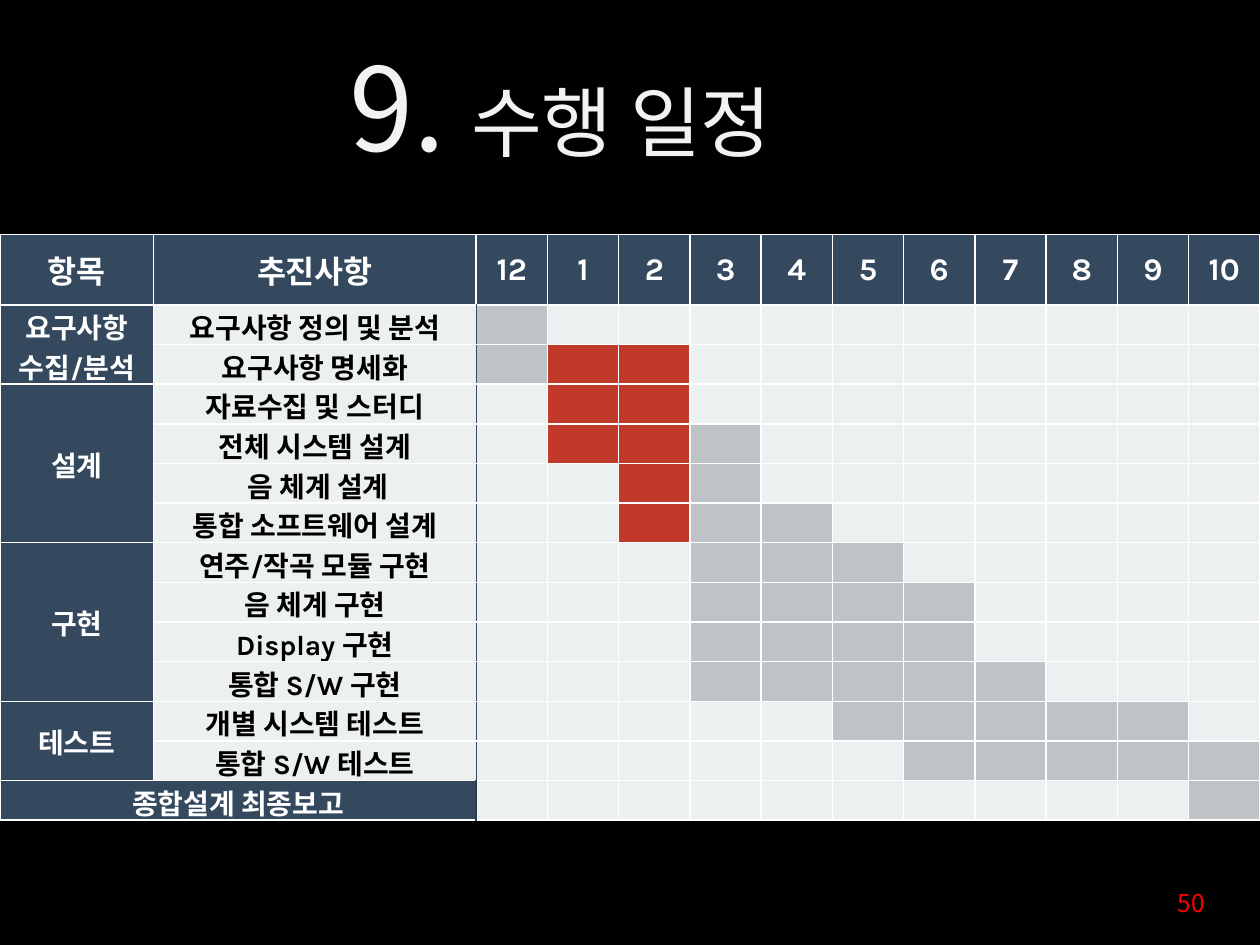
from dataclasses import dataclass
from lxml import etree
from pptx import Presentation
from pptx.dml.color import RGBColor
from pptx.enum.text import MSO_ANCHOR, MSO_AUTO_SIZE, PP_ALIGN
from pptx.oxml.ns import qn
from pptx.util import Pt

TOP, MID = MSO_ANCHOR.TOP, MSO_ANCHOR.MIDDLE
LEFT, MIDST, RIGHT = PP_ALIGN.LEFT, PP_ALIGN.CENTER, PP_ALIGN.RIGHT
GROW = MSO_AUTO_SIZE.SHAPE_TO_FIT_TEXT
NOTO, KARLA = "Noto Sans CJK KR", "Karla"
NAVY, DARK, PALE = "34495E", "2C3E50", "ECF0F1"
WHITE, BLACK = "FFFFFF", "000000"
FILLS = {".": PALE, "g": "BDC3C7", "r": "C0392B"}
MONTHS = ["12", *map(str, range(1, 11))]
WIDE = [87.84, 184.32]
HEAD, ROW = 40.35, 22.65


@dataclass
class Task:
    name: str
    bars: str


@dataclass
class Stage:
    name: str
    tasks: list[Task]


@dataclass
class Edge:
    color: str = WHITE
    width: float = 1


STAGES = [
    Stage("요구사항\n수집/분석", [
        Task("요구사항 정의 및 분석", "g.........."),
        Task("요구사항 명세화", "grr........"),
    ]),
    Stage("설계", [
        Task("자료수집 및 스터디", ".rr........"),
        Task("전체 시스템 설계", ".rrg......."),
        Task(" 음 체계 설계", "..rg......."),
        Task("통합 소프트웨어 설계", "..rgg......"),
    ]),
    Stage("구현", [
        Task("연주/작곡 모듈 구현", "...ggg....."),
        Task("음 체계 구현", "...gggg...."),
        Task("Display 구현", "...gggg...."),
        Task("통합 S/W 구현", "...ggggg..."),
    ]),
    Stage("테스트", [
        Task("개별 시스템 테스트", ".....ggggg."),
        Task("통합 S/W 테스트", "......ggggg"),
    ]),
]
FINAL = Task("종합설계 최종보고", "..........g")
LAST = 1 + sum(len(stage.tasks) for stage in STAGES)


def rgb(code: str) -> RGBColor:
    return RGBColor.from_string(code)


def write(para, text: str, size: float, color: str, face: str = NOTO,
          bold: bool = False) -> None:
    run = para.add_run()
    run.text = text
    for key, value in {"size": Pt(size), "bold": bold, "name": face}.items():
        setattr(run.font, key, value)
    run.font.color.rgb = rgb(color)
    asian = etree.SubElement(run.font._element, qn("a:ea"))
    asian.set("typeface", NOTO)


def edges(row: int, col: int) -> dict[str, Edge]:
    sides = {side: Edge() for side in "LRTB"}
    if row == 0:
        sides["B"] = Edge(WHITE, 1.5)
    if row == 1:
        sides["T"] = Edge(WHITE, 1.5)
    side = {1: "R", 2: "L"}.get(col)
    if side and 0 < row < LAST:
        sides[side] = Edge(NAVY, 0.75)
    if row == LAST and col < 3:
        sides["L" if col == 2 else "R"] = Edge(DARK, 1.5)
    if row == LAST and col == 1:
        sides["L"] = Edge()
    return sides


def border(cell, sides: dict[str, Edge]) -> None:
    props = cell._tc.get_or_add_tcPr()
    for side, edge in sides.items():
        line = etree.SubElement(props, qn(f"a:ln{side}"), w=str(Pt(edge.width)))
        fill = etree.SubElement(line, qn("a:solidFill"))
        etree.SubElement(fill, qn("a:srgbClr"), val=edge.color)


def paint(table, row: int, col: int, fill: str, text: str = "",
          color: str = WHITE, face: str = KARLA) -> None:
    cell = table.cell(row, col)
    border(cell, edges(row, col))
    look = {"margin_left": Pt(0.7), "margin_right": Pt(0.7),
            "margin_top": Pt(0.7), "margin_bottom": 0,
            "vertical_anchor": MID}
    for key, value in look.items():
        setattr(cell, key, value)
    cell.fill.solid()
    cell.fill.fore_color.rgb = rgb(fill)
    frame = cell.text_frame
    if not text:
        etree.SubElement(frame.paragraphs[0]._p, qn("a:endParaRPr"), sz="1000")
        return
    for i, line in enumerate(text.split("\n")):
        para = frame.add_paragraph() if i else frame.paragraphs[0]
        para.alignment = MIDST
        write(para, line, 16 if row else 18, color, face, True)


def bars(table, row: int, marks: str) -> None:
    for col, mark in enumerate(marks, 2):
        paint(table, row, col, FILLS[mark])


def chart(slide) -> None:
    cols = len(WIDE) + len(MONTHS)
    table = slide.shapes.add_table(LAST + 1, cols, 0, Pt(133.92), Pt(720),
                                   Pt(HEAD + LAST * ROW)).table
    table.first_row = table.horz_banding = False
    slim = (720 - sum(WIDE)) / len(MONTHS)
    for col, width in zip(table.columns, WIDE + [slim] * len(MONTHS)):
        col.width = Pt(width)
    for i, line in enumerate(table.rows):
        line.height = Pt(ROW if i else HEAD)
    for col, text in enumerate(["항목", "추진사항", *MONTHS]):
        paint(table, 0, col, NAVY, text, face=NOTO if col < 2 else KARLA)
    row = 1
    for stage in STAGES:
        end = row + len(stage.tasks) - 1
        table.cell(row, 0).merge(table.cell(end, 0))
        for i, task in enumerate(stage.tasks):
            paint(table, row, 0, NAVY, "" if i else stage.name)
            paint(table, row, 1, PALE, task.name, BLACK)
            bars(table, row, task.bars)
            row += 1
    table.cell(LAST, 0).merge(table.cell(LAST, 1))
    paint(table, LAST, 0, NAVY, FINAL.name)
    paint(table, LAST, 1, NAVY)
    bars(table, LAST, FINAL.bars)


def place(shape, box: tuple[float, ...]) -> None:
    for key, value in zip(("left", "top", "width", "height"), box):
        setattr(shape, key, Pt(value))


def main() -> None:
    deck = Presentation()
    deck.slide_width, deck.slide_height = Pt(720), Pt(540)
    slide = deck.slides.add_slide(deck.slide_layouts[5])
    slide.background.fill.solid()
    slide.background.fill.fore_color.rgb = rgb(BLACK)

    title = slide.shapes.title
    place(title, (192.24, 25.92, 298.08, 87.12))
    look = {"word_wrap": False, "auto_size": GROW, "vertical_anchor": TOP}
    for key, value in look.items():
        setattr(title.text_frame, key, value)
    para = title.text_frame.paragraphs[0]
    para.alignment = LEFT
    para.line_spacing = 0.9
    write(para, "9. ", 66, "F2F2F2")
    write(para, "수행 일정", 44, "F2F2F2")

    chart(slide)

    page = slide.shapes.add_textbox(Pt(527.76), Pt(504), Pt(167.76), Pt(37.44))
    page.text_frame.word_wrap = True
    para = page.text_frame.paragraphs[0]
    para.alignment = RIGHT
    write(para, "50", 14, "FF0000")
    deck.save("out.pptx")


if __name__ == "__main__":
    main()
